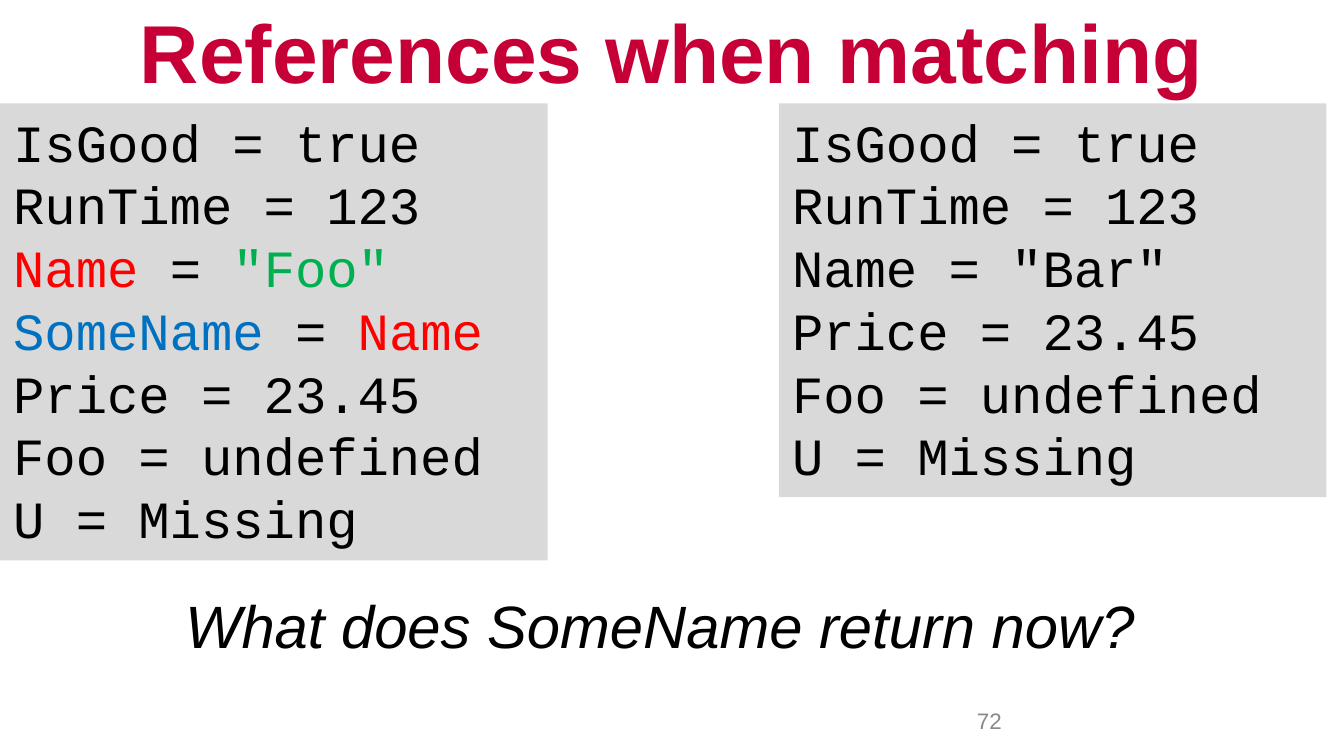
"""Build a slide on how references behave when matching."""
from pptx import Presentation
from pptx.dml.color import RGBColor
from pptx.enum.shapes import MSO_SHAPE
from pptx.enum.text import MSO_ANCHOR, PP_ALIGN
from pptx.util import Pt

RECT = MSO_SHAPE.RECTANGLE
TOP, MIDDLE = MSO_ANCHOR.TOP, MSO_ANCHOR.MIDDLE
LEFT, CENTER = PP_ALIGN.LEFT, PP_ALIGN.CENTER
PX = 4572
COLORS = {"title": "C60036", "text": "000000", "page": "898989", "panel": "D9D9D9",
          "red": "FF0000", "green": "00B050", "blue": "0070C0"}


def style(run, font, size, color):
    run.font.name = font
    run.font.size = Pt(size)
    run.font.color.rgb = RGBColor.from_string(COLORS[color])


deck = Presentation()
deck.slide_width, deck.slide_height = 2000 * PX, 1125 * PX
slide = deck.slides.add_slide(deck.slide_layouts[6])

labels = [
    ("References when matching", (0, 0, 2000, 150), 44, "title", MIDDLE, CENTER, True, False),
    ("What does SomeName return now?", (256, 866, 1534, 140), 32, "text", TOP, LEFT, False, True),
    ("72", (1434, 1043, 466, 60), 12, "page", TOP, LEFT, False, False),
]
for text, place, size, color, anchor, align, bold, slant in labels:
    frame = slide.shapes.add_textbox(*[n * PX for n in place]).text_frame
    frame.word_wrap = True
    frame.vertical_anchor = anchor
    frame.text = text
    line = frame.paragraphs[0]
    line.alignment = align
    run = line.runs[0]
    style(run, "Arial", size, color)
    run.font.bold, run.font.italic = bold, slant

head = [[("IsGood = true", "text")], [("RunTime = 123", "text")]]
tail = [[(text, "text")] for text in ("Price = 23.45", "Foo = undefined", "U = Missing")]
bar = [[('Name = "Bar"', "text")]]
foo = [
    [("Name", "red"), (" = ", "text"), ('"Foo"', "green")],
    [("SomeName", "blue"), (" = ", "text"), ("Name", "red")],
]
for left, high, names in [(1159, 586, bar), (0, 680, foo)]:
    panel = slide.shapes.add_shape(RECT, left * PX, 154 * PX, 815 * PX, high * PX)
    panel.shadow.inherit = False
    panel.fill.solid()
    panel.fill.fore_color.rgb = RGBColor.from_string(COLORS["panel"])
    panel.line.fill.background()
    frame = panel.text_frame
    frame.word_wrap = True
    frame.vertical_anchor = TOP
    for row, parts in enumerate(head + names + tail):
        line = frame.add_paragraph() if row else frame.paragraphs[0]
        line.alignment = LEFT
        line.line_spacing = Pt(33.6)
        for text, color in parts:
            run = line.add_run()
            run.text = text
            style(run, "Courier New", 28, color)

deck.save("out.pptx")
